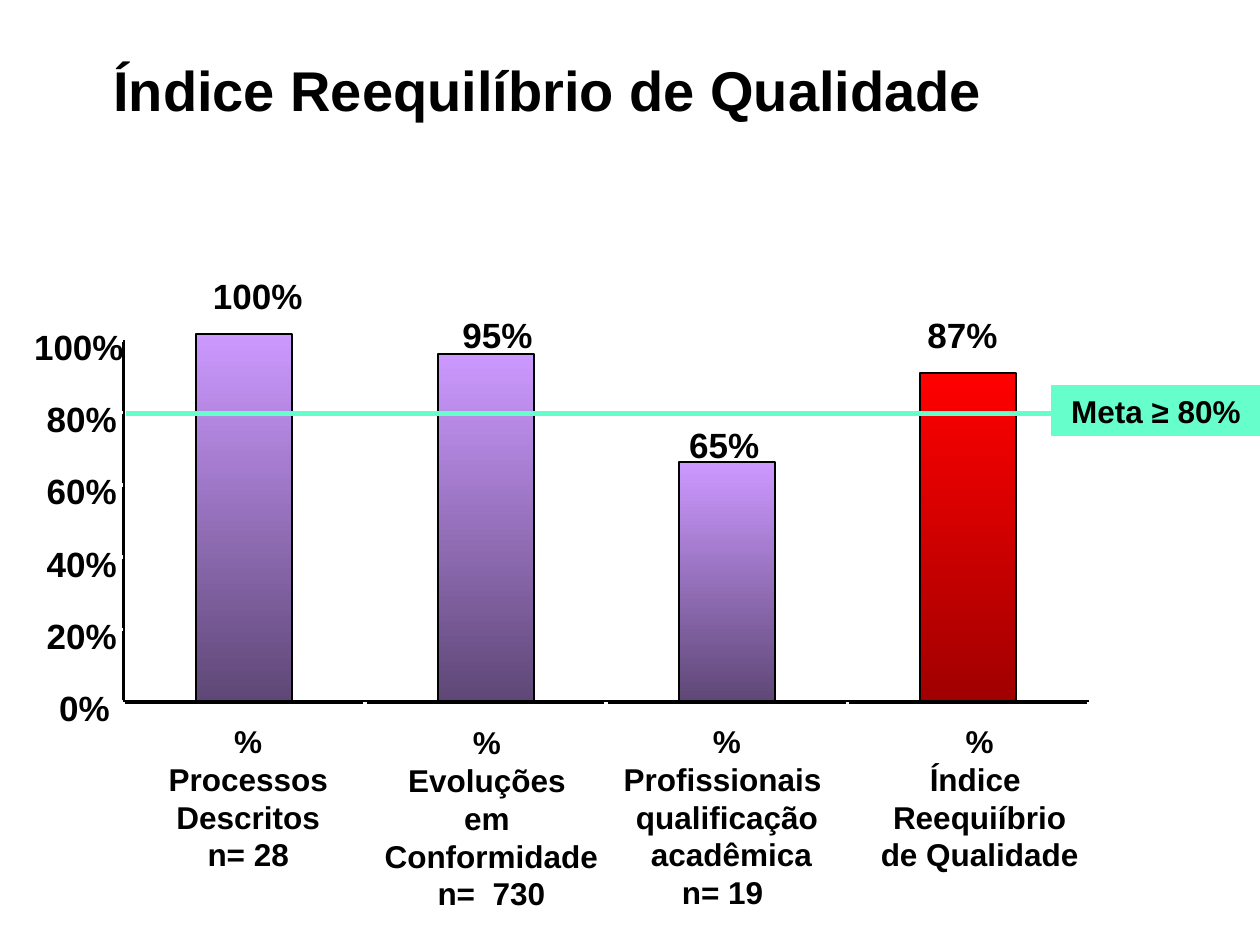
import pptx
import pptx.util
import pptx.dml.color
import pptx.enum.shapes
import pptx.enum.text
from lxml import etree
from pptx.util import Inches

ALIGN = pptx.enum.text.PP_ALIGN
ANCHOR = pptx.enum.text.MSO_ANCHOR


def color(value):
    return pptx.dml.color.RGBColor.from_string(value)


class ChartSlide:
    font = "Arial"
    ink = "000000"
    goal = "66FFCC"

    def __init__(self, presentation):
        self.slide = presentation.slides.add_slide(presentation.slide_layouts[5])

    def place(self, shape, left, top, width, height):
        shape.left, shape.top = Inches(left), Inches(top)
        shape.width, shape.height = Inches(width), Inches(height)

    def add_lines(self, shape, lines, size, align=ALIGN.LEFT, anchor=ANCHOR.TOP, wrap=True, inset=0):
        frame = shape.text_frame
        frame.word_wrap = wrap
        frame.auto_size = pptx.enum.text.MSO_AUTO_SIZE.NONE
        frame.vertical_anchor = anchor
        frame.margin_left = frame.margin_right = Inches(inset)
        frame.margin_top = frame.margin_bottom = Inches(inset / 2)
        for index, line in enumerate(lines):
            paragraph = frame.add_paragraph() if index else frame.paragraphs[0]
            paragraph.alignment = align
            run = paragraph.add_run()
            run.text = line
            run.font.name = self.font
            run.font.size = pptx.util.Pt(size)
            run.font.bold = True
            run.font.color.rgb = color(self.ink)

    def title(self, text, left, top, width, height):
        shape = self.slide.shapes.title
        self.place(shape, left, top, width, height)
        self.add_lines(shape, [text], 32)

    def text(self, lines, left, top, width, height, size, align=ALIGN.LEFT, wrap=False):
        shape = self.slide.shapes.add_textbox(0, 0, 0, 0)
        self.place(shape, left, top, width, height)
        self.add_lines(shape, lines, size, align, wrap=wrap)

    def value(self, text, left, top):
        self.text([text], left, top, 0.1 + 0.155 * len(text), 0.33, 20)

    def box(self, left, top, width, height, line_color, line_width):
        shape = self.slide.shapes.add_shape(
            pptx.enum.shapes.MSO_SHAPE.RECTANGLE,
            Inches(left), Inches(top), Inches(width), Inches(height))
        shape.shadow.inherit = False
        shape.line.color.rgb = color(line_color)
        shape.line.width = pptx.util.Pt(line_width)
        return shape

    def bar(self, left, top, width, height, colors):
        shape = self.box(left, top, width, height, self.ink, 1.13)
        shape.fill.gradient()
        shape.fill.gradient_angle = 270
        for stop, value in zip(shape.fill.gradient_stops, colors):
            stop.color.rgb = color(value)

    def tag(self, text, left, top, width, height):
        shape = self.box(left, top, width, height, self.goal, 0.75)
        shape.fill.solid()
        shape.fill.fore_color.rgb = color(self.goal)
        self.add_lines(shape, [text], 18, ALIGN.CENTER, ANCHOR.MIDDLE, inset=0.1)

    def line(self, start, end, value, width=0):
        connector = self.slide.shapes.add_connector(
            pptx.enum.shapes.MSO_CONNECTOR.STRAIGHT,
            *(Inches(length) for length in (*start, *end)))
        connector.line.color.rgb = color(value)
        connector.line.width = pptx.util.Pt(width)
        properties = connector._element.spPr
        etree.SubElement(properties, pptx.oxml.ns.qn("a:effectLst"))


def main():
    presentation = pptx.Presentation()
    presentation.slide_width, presentation.slide_height = Inches(10), Inches(7.5)
    chart = ChartSlide(presentation)
    chart.title("Índice Reequilíbrio de Qualidade", 0.9, 0.44, 7.64, 0.53)

    axis_left, axis_right, axis_top, baseline = 0.98, 8.64, 2.7, 5.57
    row_step = (baseline - axis_top) / 5
    column_step = (axis_right - axis_left) / 4
    purple, red, white = ("CC99FF", "5E4776"), ("FF0000", "A00000"), "FFFFFF"

    bars = [(2.65, purple), (2.81, purple), (3.67, purple), (2.96, red)]
    for index, (top, colors) in enumerate(bars):
        chart.bar(1.56 + index * column_step, top, 0.76, baseline - top, colors)

    chart.line((axis_left, axis_top), (axis_left, baseline), chart.ink)
    for index in range(6):
        y = baseline - index * row_step
        chart.line((axis_left - 0.06, y), (axis_left, y), white)
    chart.line((axis_left, baseline), (axis_right, baseline), chart.ink)
    for index in range(5):
        x = axis_left + index * column_step
        chart.line((x, baseline + 0.06), (x, baseline), white)

    values = [("100%", 1.69, 2.18), ("95%", 3.67, 2.49),
              ("65%", 5.47, 3.36), ("87%", 7.36, 2.49)]
    for text, left, top in values:
        chart.value(text, left, top)

    for index in range(6):
        label = f"{index * 20}%"
        chart.value(label, 0.67 - 0.1 * len(label), 5.45 - index * row_step)

    categories = [
        (1.26, 5.73, 1.42, True, ["% Processos", "Descritos", "n= 28"]),
        (3.05, 5.74, 1.7, False, ["% ", "Evoluções ", "em ", "Conformidade", "n=  730"]),
        (4.95, 5.73, 1.64, False,
         ["%", "Profissionais ", "qualificação", " acadêmica", "n= 19 "]),
        (6.99, 5.73, 1.57, False, ["%", "Índice ", "Reequiíbrio", "de Qualidade"]),
    ]
    for left, top, width, wrap, lines in categories:
        height = 0.3 * (len(lines) + wrap)
        chart.text(lines, left, top, width, height, 18, ALIGN.CENTER, wrap)

    chart.line((1, 3.28), (9.1, 3.28), chart.goal, 3)
    chart.tag("Meta ≥ 80%", 8.35, 3.06, 1.65, 0.4)

    presentation.save("out.pptx")


if __name__ == "__main__":
    main()
